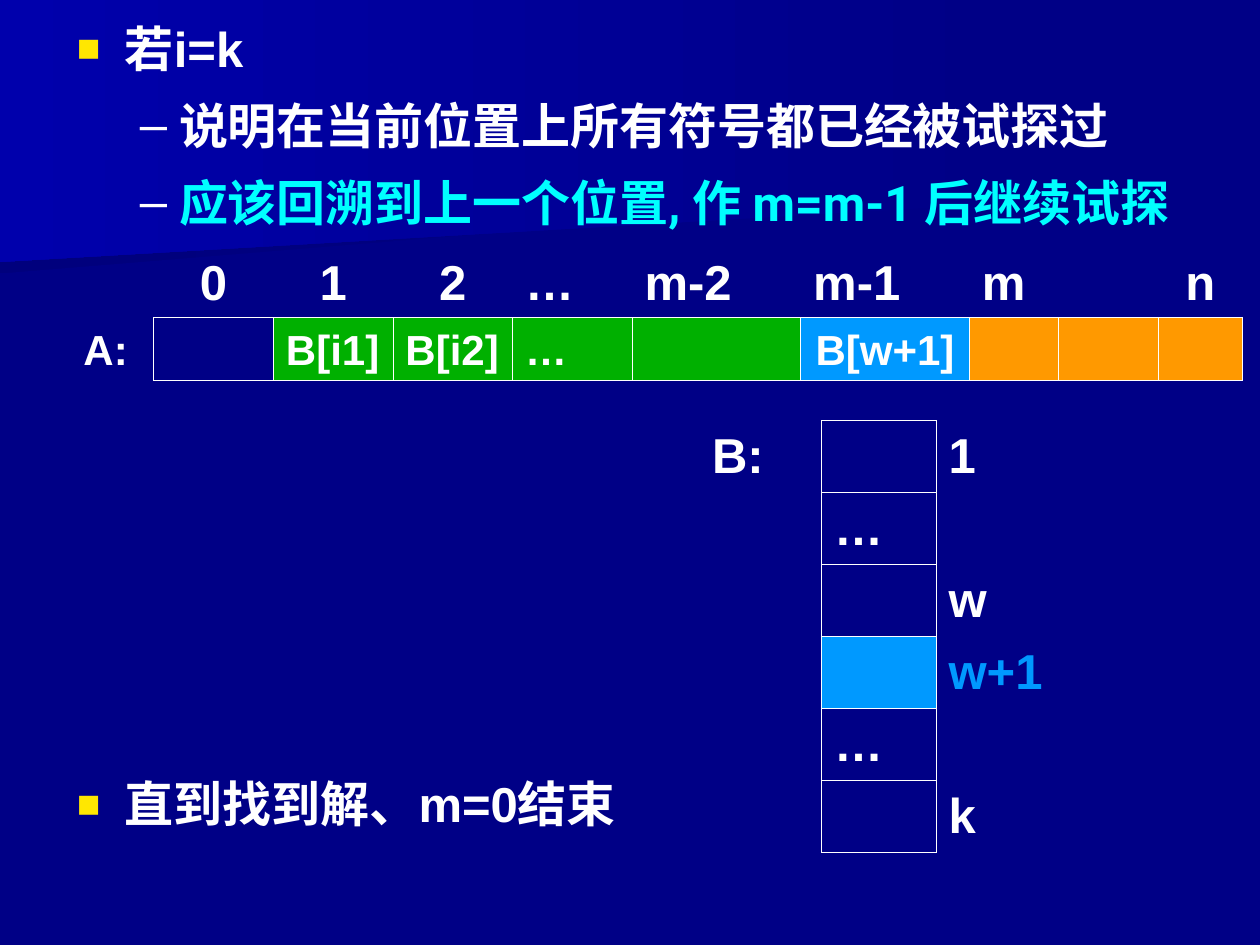
from lxml.etree import SubElement
from pptx import Presentation
from pptx.dml.color import RGBColor
from pptx.enum.text import MSO_ANCHOR, PP_ALIGN
from pptx.oxml.ns import qn
from pptx.util import Cm, Pt

NAVY = RGBColor(0x00, 0x00, 0x86)
DARK = RGBColor(0x00, 0x00, 0x7D)
BLUE = RGBColor(0x00, 0x00, 0xAC)
WHITE = RGBColor(0xFF, 0xFF, 0xFF)
CYAN = RGBColor(0x00, 0xFF, 0xFF)
GOLD = RGBColor(0xFF, 0xE7, 0x01)
GREEN = RGBColor(0x00, 0xB0, 0x00)
SKY = RGBColor(0x00, 0x99, 0xFF)
AMBER = RGBColor(0xFF, 0x99, 0x00)

# Background waves: end colour and corners in cm
WAVES = [
    (DARK, [(19.76, 3.89), (0, 5.51), (0, 2.57), (19.79, 2.57), (19.76, 3.25)]),
    (BLUE, [(20.12, 4.11), (0, 5.28), (0, 0), (20.12, 0)]),
]

# Bullet levels: mark, mark colour, mark size, left edge and hang in cm
LEVELS = [("■", GOLD, 80, 0.97, 0.97), ("–", WHITE, 100, 2.06, 0.79)]

# Text blocks: top, height, line spacing, (level, text, font, colour)
BLOCKS = [
    (0.13, 5, 1.1, [
        (0, "若i=k", "Arial", WHITE),
        (1, "说明在当前位置上所有符号都已经被试探过", "Roboto", WHITE),
        (1, "应该回溯到上一个位置, 作 m=m-1 后继续试探", "Roboto", CYAN),
    ]),
    (15.6, 1.4, 0.9, [(0, "直到找到解、m=0结束", "Arial", WHITE)]),
]

# Array A: index row, then value row
A_WIDE = [2.41] * 5 + [3.4, 3.4, 1.8, 2.01, 1.7]
A_HIGH = [1.45, 1.27]
A_TEXT = [
    ["", "0", "1", "2", "…", "m-2", "m-1", "m", "", "n"],
    ["A:", "", "B[i1]", "B[i2]", "…", "", "B[w+1]", "", "", ""],
]
A_FILL = [None, None] + [GREEN] * 4 + [SKY] + [AMBER] * 3
A_MID = {(0, 1), (0, 2), (0, 3), (0, 9), (1, 0), (1, 6)}

# Stack B: name, value, index
B_WIDE = [2.46, 2.31, 3.43]
B_TEXT = [["B:", "", "1"], ["", "…", ""], ["", "", "w"],
          ["", "", "w+1"], ["", "…", ""], ["", "", "k"]]
B_HIGH = [1.45] * len(B_TEXT)
B_PICK = 3

PLAIN = "{2D5ABB26-0587-4C30-8999-92F81FD0307C}"  # no style, no grid


def style(font, size, color, name="Arial"):
    look = {"name": name, "size": Pt(size), "bold": True}
    for key, val in look.items():
        setattr(font, key, val)
    font.color.rgb = color


def bullet(para, level):
    mark, color, size, left, hang = LEVELS[level]
    props = para._p.get_or_add_pPr()
    props.set("marL", str(Cm(left)))
    props.set("indent", str(-Cm(hang)))
    tint = SubElement(props, qn("a:buClr"))
    SubElement(tint, qn("a:srgbClr")).set("val", str(color))
    SubElement(props, qn("a:buSzPct")).set("val", str(size * 1000))
    SubElement(props, qn("a:buFont")).set("typeface", "Arial")
    SubElement(props, qn("a:buChar")).set("char", mark)


def frame(cell):
    props = cell._tc.get_or_add_tcPr()
    for side in "LRTB":
        line = SubElement(props, qn("a:ln" + side))
        line.set("w", str(Pt(0.45)))
        fill = SubElement(line, qn("a:solidFill"))
        SubElement(fill, qn("a:srgbClr")).set("val", str(WHITE))


def grid(slide, left, top, wide, high, text):
    box = slide.shapes.add_table(len(high), len(wide), Cm(left), Cm(top),
                                 Cm(sum(wide)), Cm(sum(high)))
    table = box.table
    table.first_row = table.horz_banding = False
    table._tbl.tblPr.find(qn("a:tableStyleId")).text = PLAIN
    for col, size in zip(table.columns, wide):
        col.width = Cm(size)
    for row, size in zip(table.rows, high):
        row.height = Cm(size)
    for r, line in enumerate(text):
        for c, word in enumerate(line):
            table.cell(r, c).text = word
    return table


def paint(cell, size, color, anchor, fill, framed):
    cell.vertical_anchor = anchor
    style(cell.text_frame.paragraphs[0].font, size, color)
    if framed:
        frame(cell)
    if fill is None:
        cell.fill.background()
    else:
        cell.fill.solid()
        cell.fill.fore_color.rgb = fill


deck = Presentation()
deck.slide_width, deck.slide_height = Cm(25.4), Cm(19.05)
slide = deck.slides.add_slide(deck.slide_layouts[6])
slide.background.fill.solid()
slide.background.fill.fore_color.rgb = NAVY

# Waves
for color, spots in WAVES:
    first, *rest = [(Cm(x), Cm(y)) for x, y in spots]
    path = slide.shapes.build_freeform(*first, scale=1.0)
    path.add_line_segments(rest, close=True)
    wave = path.convert_to_shape()
    wave.shadow.inherit = False
    wave.line.fill.background()
    wave.fill.gradient()
    wave.fill.gradient_angle = 180
    for stop, tone in zip(wave.fill.gradient_stops, (NAVY, color)):
        stop.color.rgb = tone

# Bulleted text
for top, high, space, lines in BLOCKS:
    box = slide.shapes.add_textbox(Cm(1.3), Cm(top), Cm(23.6), Cm(high))
    body = box.text_frame
    body.word_wrap = True
    for n, (level, text, name, color) in enumerate(lines):
        para = body.paragraphs[0] if n == 0 else body.add_paragraph()
        bullet(para, level)
        para.line_spacing = space
        if n:
            para.space_before = Pt(7)
        run = para.add_run()
        run.text = text
        style(run.font, 28, color, name)

# Array A
table = grid(slide, 0.69, 4.95, A_WIDE, A_HIGH, A_TEXT)
for r in range(len(A_HIGH)):
    for c in range(len(A_WIDE)):
        cell = table.cell(r, c)
        paint(cell, 24 if r else 28, WHITE, MSO_ANCHOR.BOTTOM,
              A_FILL[c] if r else None, r == 1 and c > 0)
        if (r, c) in A_MID:
            cell.text_frame.paragraphs[0].alignment = PP_ALIGN.CENTER
table.cell(1, 0).margin_left = Cm(0.72)

# Stack B
table = grid(slide, 14.1, 8.48, B_WIDE, B_HIGH, B_TEXT)
for r in range(len(B_HIGH)):
    for c in range(len(B_WIDE)):
        pick = r == B_PICK
        paint(table.cell(r, c), 28, SKY if pick else WHITE, MSO_ANCHOR.MIDDLE,
              SKY if pick and c == 1 else None, c == 1)

deck.save("out.pptx")
